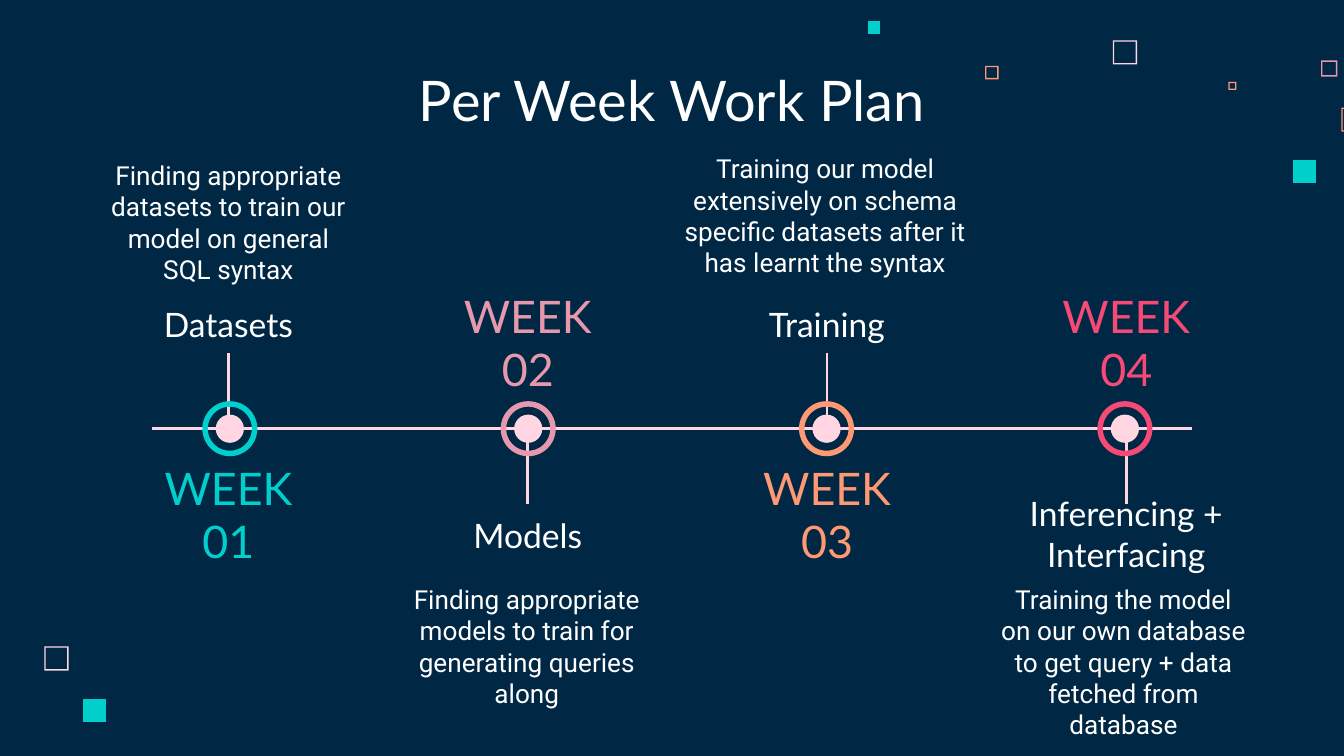
from lxml import etree
from pptx import Presentation
from pptx.dml.color import RGBColor
from pptx.enum.shapes import MSO_CONNECTOR, MSO_SHAPE
from pptx.enum.text import MSO_ANCHOR, PP_ALIGN
from pptx.oxml.ns import qn
from pptx.util import Inches, Pt

TOP, MIDDLE, BOTTOM = MSO_ANCHOR.TOP, MSO_ANCHOR.MIDDLE, MSO_ANCHOR.BOTTOM
CENTER = PP_ALIGN.CENTER
STRAIGHT = MSO_CONNECTOR.STRAIGHT
OVAL, DONUT = MSO_SHAPE.OVAL, MSO_SHAPE.DONUT

NAVY = RGBColor(0x00, 0x28, 0x45)
WHITE = RGBColor(0xFF, 0xFF, 0xFF)
BLUSH = RGBColor(0xFF, 0xD6, 0xE1)
ROSE = RGBColor(0xE8, 0x98, 0xAC)
ORANGE = RGBColor(0xFF, 0x99, 0x73)
TEAL = RGBColor(0x00, 0xCF, 0xCC)
RED = RGBColor(0xF6, 0x49, 0x75)

WIDTH = 10
HEIGHT = WIDTH * 9 / 16
AXIS_Y = 3.19
FIRST_X, LAST_X = 1.7, 8.38
MARKER_X, MARKER_PITCH = 1.71, 2.22
LABEL_H, BODY_H = 0.47, 0.71

# left, top, size, colour, border (0 for a solid square)
SQUARES = [
    (8.28, 0.3, 0.18, BLUSH, 0.01),
    (9.83, 0.45, 0.12, ROSE, 0.01),
    (9.14, 0.61, 0.06, ORANGE, 0.01),
    (9.98, 0.8, 0.18, ORANGE, 0.01),
    (9.62, 1.19, 0.17, TEAL, 0),
    (7.33, 0.49, 0.1, ORANGE, 0.01),
    (6.46, 0.16, 0.09, TEAL, 0),
    (0.33, 4.81, 0.18, BLUSH, 0.01),
    (0.62, 5.2, 0.17, TEAL, 0),
]

# week, colour, heading, heading top, body, body centre, body top, body width
WEEKS = [
    ("WEEK 01", TEAL, "Datasets", 2.16,
     "Finding appropriate datasets to train our model on general SQL syntax",
     1.7, 1.51, 2.06),
    ("WEEK 02", ROSE, "Models", 3.76,
     "Finding appropriate models to train for generating queries along",
     3.92, 4.24, 2.31),
    ("WEEK 03", ORANGE, "Training", 2.16,
     "Training our model extensively on schema specific datasets after it "
     "has learnt the syntax", 6.14, 1.46, 2.31),
    ("WEEK 04", RED, "Inferencing + Interfacing", 3.9,
     "Training the model on our own database to get query + data fetched "
     "from database", 8.36, 4.24, 2.06),
]


def paint(sp, color):
    sp.shadow.inherit = False
    sp.fill.solid()
    sp.fill.fore_color.rgb = color
    sp.line.fill.background()


def add_square(slide, x, y, size, color, border):
    """Draw a solid square, or a hollow one when border is not zero."""
    left, top = Inches(x), Inches(y)
    right, bottom = Inches(x + size), Inches(y + size)
    fb = slide.shapes.build_freeform(left, top)
    fb.add_line_segments([(left, bottom), (right, bottom), (right, top)])
    if border:
        edge = Inches(border)
        left, top = left + edge, top + edge
        right, bottom = right - edge, bottom - edge
        fb.move_to(left, top)
        fb.add_line_segments([(right, top), (right, bottom), (left, bottom)])
    paint(fb.convert_to_shape(), color)


def add_line(slide, x1, y1, x2, y2):
    line = slide.shapes.add_connector(
        STRAIGHT, Inches(x1), Inches(y1), Inches(x2), Inches(y2))
    line.line.color.rgb = BLUSH
    line.line.width = Pt(1.5)
    etree.SubElement(line._element.spPr, qn("a:effectLst"))


def add_text(slide, text, cx, y, w, h, *, size, font="Lato", color=WHITE,
             anchor=TOP):
    """Add a centred text box whose horizontal middle is cx."""
    box = slide.shapes.add_textbox(
        Inches(cx - w / 2), Inches(y), Inches(w), Inches(h))
    tf = box.text_frame
    tf.word_wrap = True
    tf.vertical_anchor = anchor
    tf.margin_left = tf.margin_right = Inches(0.1)
    tf.margin_top = tf.margin_bottom = Inches(0.1)
    p = tf.paragraphs[0]
    p.alignment = CENTER
    r = p.add_run()
    r.text = text
    r.font.size = Pt(size)
    r.font.name = font
    r.font.color.rgb = color


def add_marker(slide, cx, color):
    group = slide.shapes.add_group_shape()
    for kind, size, fill in ((OVAL, 0.21, BLUSH), (DONUT, 0.41, color)):
        sp = group.shapes.add_shape(
            kind, Inches(cx - size / 2), Inches(AXIS_Y - size / 2),
            Inches(size), Inches(size))
        paint(sp, fill)
        if kind == DONUT:
            sp.adjustments[0] = 0.1


def add_week(slide, cx, above, week, color, heading, heading_y, body, body_x,
             body_y, body_w):
    add_text(slide, heading, cx, heading_y, 2.06, LABEL_H, size=18,
             anchor=TOP if above else BOTTOM)
    add_text(slide, body, body_x, body_y, body_w, BODY_H, size=14,
             font="Roboto", anchor=BOTTOM if above else TOP)
    add_text(slide, week, cx, 3.59 if above else 2.31, 1.41, LABEL_H, size=24,
             color=color, anchor=MIDDLE)


def main():
    prs = Presentation()
    prs.slide_width, prs.slide_height = Inches(WIDTH), Inches(HEIGHT)
    slide = prs.slides.add_slide(prs.slide_layouts[6])
    slide.background.fill.solid()
    slide.background.fill.fore_color.rgb = NAVY

    for square in SQUARES:
        add_square(slide, *square)

    pitch = (LAST_X - FIRST_X) / (len(WEEKS) - 1)
    centers = [FIRST_X + i * pitch for i in range(len(WEEKS))]
    for i, cx in enumerate(centers):
        top, bottom = (2.63, 3.13) if i % 2 == 0 else (3.26, 3.75)
        add_line(slide, cx, top, cx, bottom)
    add_text(slide, "Per Week Work Plan", WIDTH / 2, 0.46, 5.17, 0.63,
             size=30, anchor=BOTTOM)
    add_line(slide, 1.13, AXIS_Y, WIDTH - 1.13, AXIS_Y)
    for i, week in enumerate(WEEKS):
        add_marker(slide, MARKER_X + i * MARKER_PITCH, week[1])
    for i, (cx, week) in enumerate(zip(centers, WEEKS)):
        add_week(slide, cx, i % 2 == 0, *week)

    prs.save("out.pptx")


if __name__ == "__main__":
    main()
